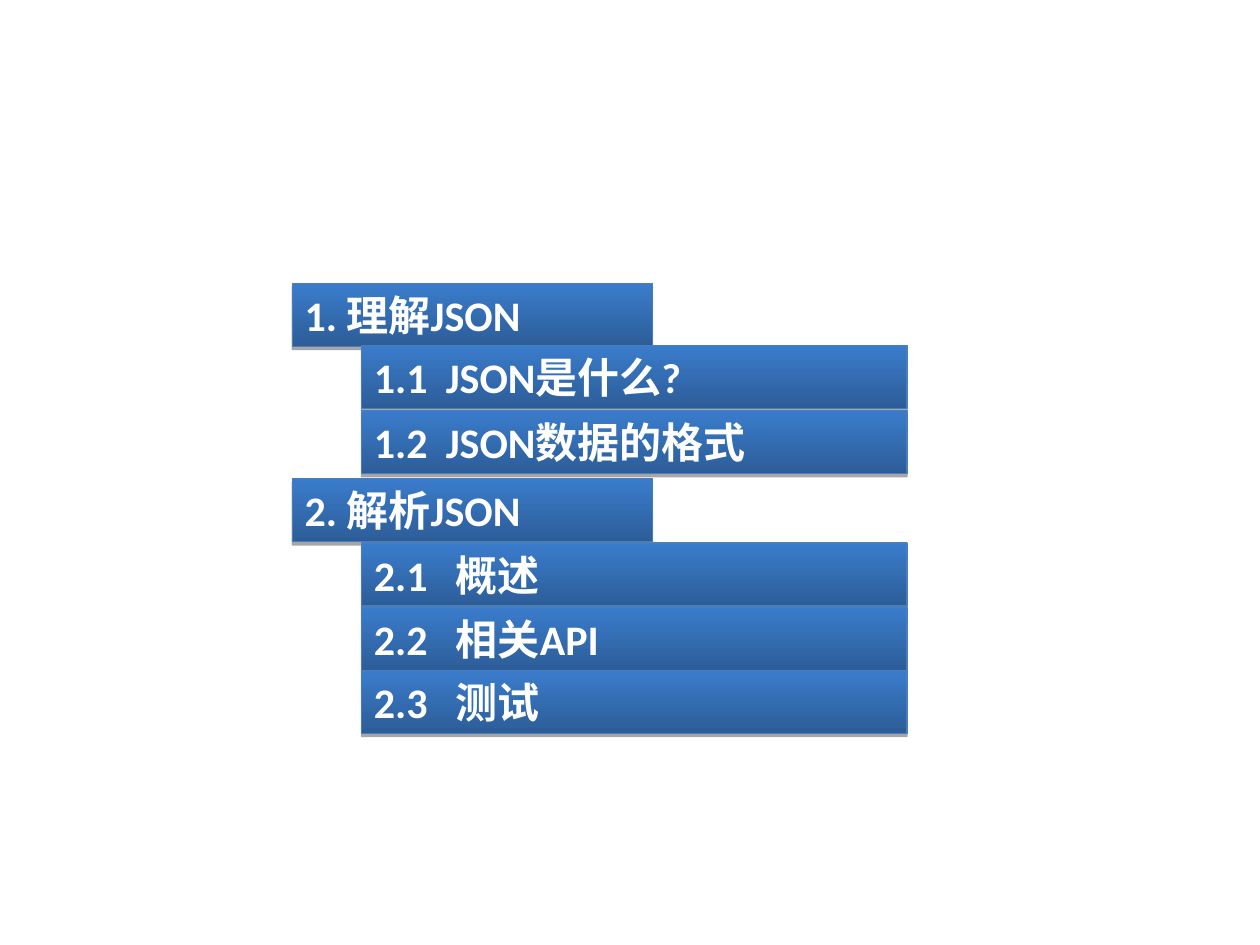
from lxml.etree import SubElement
from pptx import Presentation
from pptx.dml.color import RGBColor
from pptx.enum.shapes import MSO_SHAPE
from pptx.enum.text import MSO_ANCHOR, MSO_AUTO_SIZE, PP_ALIGN
from pptx.oxml.ns import qn
from pptx.util import Inches, Pt

COLORS = {"bottom": "2C5D98", "top": "3A7CCB", "line": "4A7EBB",
          "shadow": "000000", "text": "FFFFFF"}
BAR_HEIGHT = 0.5
SECTIONS = {"left": 2.32, "width": 2.86, "indent": 0,
            "rows": [(2.25, "1. 理解JSON"), (3.8, "2. 解析JSON")]}
JSON_TOPICS = {"left": 2.87, "width": 4.33, "indent": 0.57,
               "rows": [(2.74, "1.1\tJSON是什么?"), (3.26, "1.2\tJSON数据的格式")]}
PARSING_TOPICS = {"left": 2.87, "width": 4.33, "indent": 0.65,
                  "rows": [(4.31, "2.1\t概述"), (4.82, "2.2\t相关API"), (5.32, "2.3\t测试")]}


def rgb(name):
    """Return the named colour."""
    return RGBColor.from_string(COLORS[name])


def add_shadow(sp):
    """Give a shape a faint shadow straight below it."""
    sp.shadow.inherit = False
    effects = sp._element.spPr.find(qn("a:effectLst"))
    outer = SubElement(effects, qn("a:outerShdw"), blurRad="0", dist=str(Pt(1.8)),
                       dir="5400000", rotWithShape="0")
    clr = SubElement(outer, qn("a:srgbClr"), val=COLORS["shadow"])
    SubElement(clr, qn("a:alpha"), val="35000")


def write_text(sp, text, size=24, font="Calibri", color="text", bold=True, indent=0):
    """Write one left-aligned line whose text after a tab starts at the indent."""
    tf = sp.text_frame
    tf.word_wrap = True
    tf.auto_size = MSO_AUTO_SIZE.SHAPE_TO_FIT_TEXT
    tf.vertical_anchor = MSO_ANCHOR.TOP
    p = tf.paragraphs[0]
    p.alignment = PP_ALIGN.LEFT
    if indent:
        pPr = p._p.get_or_add_pPr()
        pPr.set("marL", str(Inches(indent)))
        pPr.set("indent", str(-Inches(indent)))
    r = p.add_run()
    r.text = text
    r.font.name = font
    r.font.size = Pt(size)
    r.font.bold = bold
    r.font.color.rgb = rgb(color)


def add_bar(s, text, left, top, width, height, indent):
    """Add one gradient bar with its heading."""
    sp = s.shapes.add_shape(MSO_SHAPE.RECTANGLE, Inches(left), Inches(top),
                            Inches(width), Inches(height))
    sp.fill.gradient()
    sp.fill.gradient_angle = 90
    for stop, name in zip(sp.fill.gradient_stops, ("bottom", "top")):
        stop.color.rgb = rgb(name)
    sp.line.color.rgb = rgb("line")
    sp.line.width = Pt(0.75)
    add_shadow(sp)
    write_text(sp, text, indent=indent)


def add_outline_level(s, left, width, indent, rows):
    """Add the bars that share one column of the outline."""
    for top, text in rows:
        add_bar(s, text, left, top, width, BAR_HEIGHT, indent)


def main():
    """Build the contents slide."""
    prs = Presentation()
    prs.slide_width, prs.slide_height = Inches(10), Inches(7.5)
    s = prs.slides.add_slide(prs.slide_layouts[6])
    for level in (SECTIONS, JSON_TOPICS, PARSING_TOPICS):
        add_outline_level(s, **level)
    prs.save("out.pptx")


if __name__ == "__main__":
    main()
